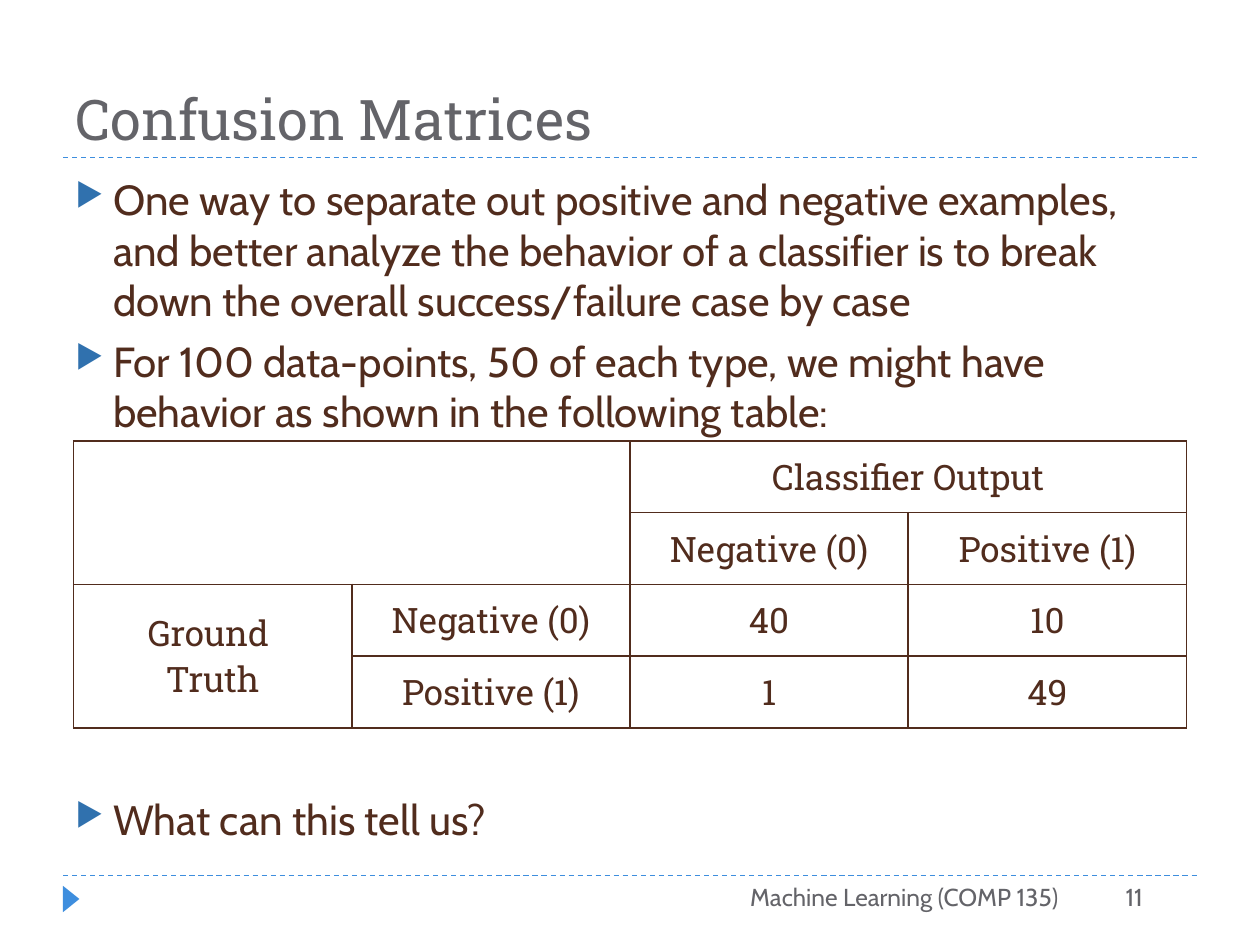
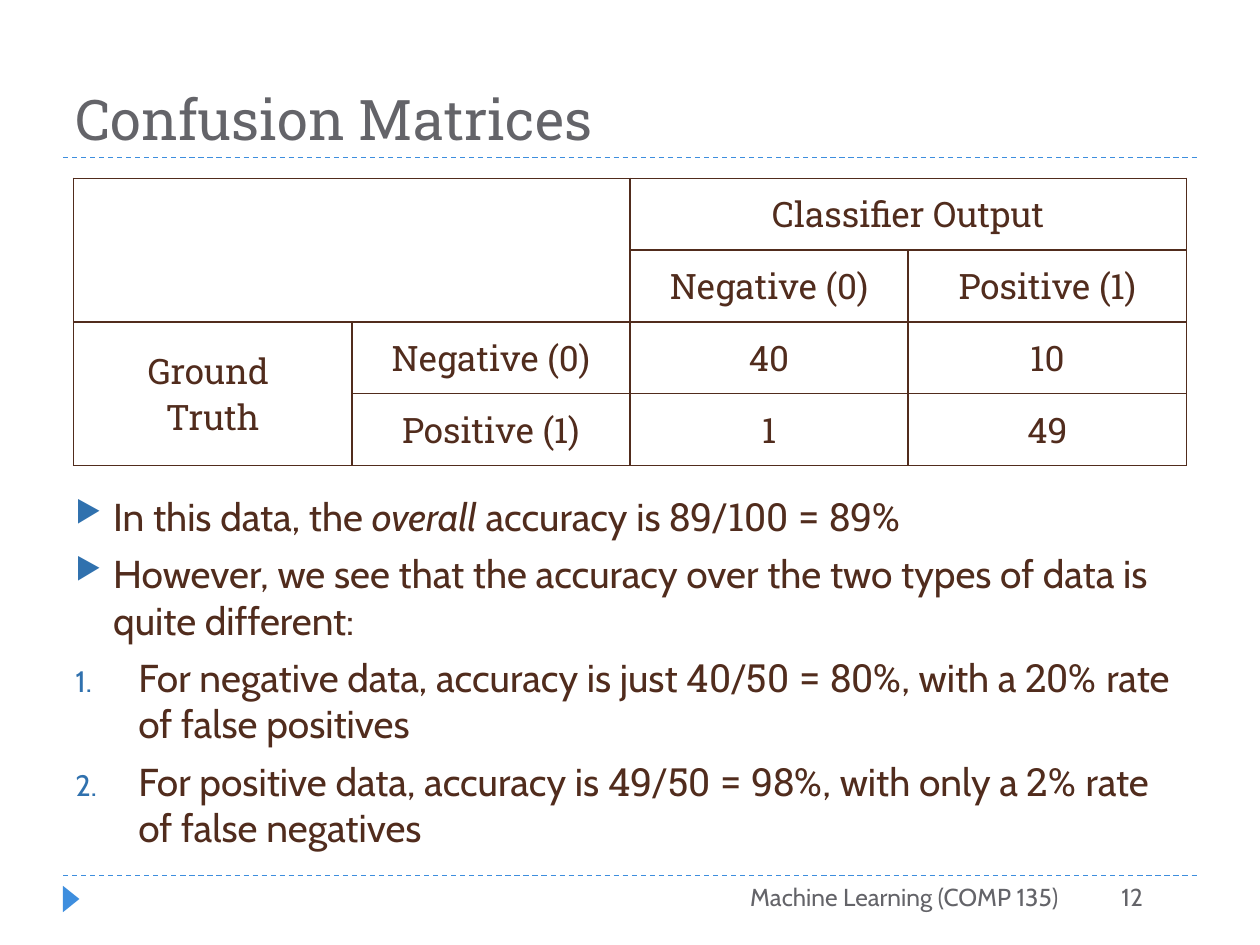
"""Builds two slides about confusion matrices."""
from dataclasses import dataclass

from lxml import etree
from pptx import Presentation
from pptx.dml import color
from pptx.enum import dml, shapes, text
from pptx.oxml import ns
from pptx.util import Pt

BLUE, DEEP, GREY, BROWN = "3E8EDE", "3071AE", "646469", "512C1D"
SANS, SLAB = "Cabin", "Roboto Slab"
LEFT, WIDE = 36, 648
RULES = (90, 500.4)
COL, ROW = 159, 41
ALIGN, ANCHOR = text.PP_ALIGN, text.MSO_ANCHOR

GRID = (
    ("", "", "Classifier Output", ""),
    ("", "", "Negative (0)", "Positive (1)"),
    ("Ground \nTruth", "Negative (0)", "40", "10"),
    ("", "Positive (1)", "1", "49"),
)


@dataclass
class Run:
    """A stretch of text in one font."""
    words: str
    face: str = SANS
    slant: bool = False


@dataclass
class Item:
    """A bulleted or numbered paragraph."""
    runs: list[Run]
    step: bool = False
    after: float = 0


@dataclass
class Page:
    """What sets one slide apart from the other."""
    num: int
    top: float
    high: float
    size: float
    grid: float
    items: list[Item]


def paint(code: str) -> color.RGBColor:
    """Turn a hex string into a colour."""
    return color.RGBColor.from_string(code)


def style(run, face: str, size: float, code: str) -> None:
    """Set font, size and colour of a run."""
    run.font.name, run.font.size = face, Pt(size)
    run.font.color.rgb = paint(code)


def node(parent, tag: str, **attrs: str):
    """Add a drawing element below its parent."""
    return etree.SubElement(parent, ns.qn(tag), attrs)


def frame(slide, left: float, top: float, width: float, high: float):
    """Add a wrapping text box and return its text frame."""
    box = slide.shapes.add_textbox(Pt(left), Pt(top), Pt(width), Pt(high))
    box.text_frame.word_wrap = True
    return box.text_frame


def label(slide, words: str, spot: tuple, face: str, size: float,
          align=ALIGN.LEFT, anchor=ANCHOR.TOP) -> None:
    """Add one line of grey text."""
    tf = frame(slide, *spot)
    tf.text, tf.vertical_anchor = words, anchor
    para = tf.paragraphs[0]
    para.alignment = align
    style(para.runs[0], face, size, GREY)


def rule(slide, top: float) -> None:
    """Draw a dashed line across the slide."""
    line = slide.shapes.add_connector(
        shapes.MSO_CONNECTOR.STRAIGHT, Pt(LEFT), Pt(top),
        Pt(LEFT + WIDE), Pt(top))
    line.line.color.rgb = paint(BLUE)
    line.line.width = Pt(0.75)
    line.line.dash_style = dml.MSO_LINE.DASH
    node(line._element.spPr, "a:effectLst")


def base(slide, num: int) -> None:
    """Draw the rules, marker, title and footer."""
    for top in RULES:
        rule(slide, top)
    mark = slide.shapes.add_shape(
        shapes.MSO_SHAPE.ISOSCELES_TRIANGLE,
        Pt(33.1), Pt(509), Pt(15.1), Pt(9.4))
    mark.rotation = 90
    mark.shadow.inherit = False
    mark.fill.solid()
    mark.fill.fore_color.rgb = paint(BLUE)
    mark.line.fill.background()
    label(slide, "Confusion Matrices", (LEFT, 12.2, WIDE, 77.8), SLAB, 32,
          anchor=ANCHOR.BOTTOM)
    label(slide, "Machine Learning (COMP 135)", (276, 500.4, 336, 28.8),
          SANS, 14, ALIGN.RIGHT)
    label(slide, str(num), (582, 500.4, 78.2, 28.8), SANS, 14, ALIGN.RIGHT)


def bullet(para, step: bool) -> None:
    """Give a paragraph its indent and a mark or number."""
    prop = para._p.get_or_add_pPr()
    dent = Pt(36 if step else 21.6)
    prop.set("marL", str(dent))
    prop.set("indent", str(-dent))
    node(node(prop, "a:buClr"), "a:srgbClr", val=DEEP)
    node(prop, "a:buSzPct", val="76000")
    if step:
        node(prop, "a:buFont", typeface=SANS)
        node(prop, "a:buAutoNum", type="arabicPeriod")
    else:
        node(prop, "a:buChar", char="▶")


def body(slide, page: Page) -> None:
    """Write the list of the slide."""
    tf = frame(slide, LEFT, page.top, WIDE, page.high)
    for i, item in enumerate(page.items):
        para = tf.add_paragraph() if i else tf.paragraphs[0]
        para.space_before, para.space_after = Pt(6), Pt(item.after)
        bullet(para, item.step)
        for part in item.runs:
            run = para.add_run()
            run.text = part.words
            style(run, part.face, page.size, BROWN)
            if part.slant:
                run.font.italic = True


def border(cell, row: int, col: int) -> None:
    """Line a cell, leaving the top left block open inside."""
    block = row < 2 and col < 2
    bare = {"R" if col == 0 else "L", "B" if row == 0 else "T"}
    prop = cell._tc.get_or_add_tcPr()
    for side in "LRTB":
        line = node(prop, f"a:ln{side}", w=str(Pt(1)))
        if block and side in bare:
            node(line, "a:noFill")
        else:
            node(node(line, "a:solidFill"), "a:srgbClr", val=BROWN)


def matrix(slide, top: float) -> None:
    """Add the confusion matrix."""
    rows, cols = len(GRID), len(GRID[0])
    table = slide.shapes.add_table(
        rows, cols, Pt(42), Pt(top), Pt(cols * COL), Pt(rows * ROW)).table
    table.first_row = table.horz_banding = False
    for col in table.columns:
        col.width = Pt(COL)
    for r, line in enumerate(GRID):
        table.rows[r].height = Pt(ROW)
        for c, words in enumerate(line):
            cell = table.cell(r, c)
            border(cell, r, c)
            cell.fill.background()
            cell.vertical_anchor = ANCHOR.MIDDLE
            if words:
                cell.text_frame.text = words
            for para in cell.text_frame.paragraphs:
                para.alignment = ALIGN.CENTER
                for run in para.runs:
                    style(run, SLAB, 20, BROWN)
    table.cell(0, 2).merge(table.cell(0, 3))
    table.cell(2, 0).merge(table.cell(3, 0))


def rate(kind: str, lead: str, sum_: str, link: str, part: str,
         miss: str) -> Item:
    """Make a numbered item on the accuracy for one type of data."""
    return Item([Run(f"For {kind} data, accuracy is {lead}"), Run(sum_, SLAB),
                 Run(link), Run(part, SLAB), Run(f"rate of false {miss}")],
                step=True)


PAGES = (
    Page(11, 95.8, 388.8, 24, 252, [
        Item([Run("One way to separate out positive and negative examples, "
                  "and better analyze the behavior of a classifier is to "
                  "break down the overall success/failure case by case")]),
        Item([Run("For 100 data-points, 50 of each type, we might have "
                  "behavior as shown in the following table:")], after=198),
        Item([Run("What can this tell us?")]),
    ]),
    Page(12, 277.9, 206.6, 22.2, 102, [
        Item([Run("In this data, the "), Run("overall", slant=True),
              Run(" accuracy is "), Run("89/100 = 89%", SLAB)]),
        Item([Run("However, we see that the accuracy over the two types of "
                  "data is quite different:")]),
        rate("negative", "just ", "40/50 = 80%", ", with a ", "20% ",
             "positives"),
        rate("positive", "", "49/50 = 98%", ", with only a ", "2% ",
             "negatives"),
    ]),
)


def main() -> None:
    """Build and save the slides."""
    deck = Presentation()
    deck.slide_width, deck.slide_height = Pt(720), Pt(540)
    for page in PAGES:
        slide = deck.slides.add_slide(deck.slide_layouts[6])
        base(slide, page.num)
        body(slide, page)
        matrix(slide, page.grid)
    deck.save("out.pptx")


main()
